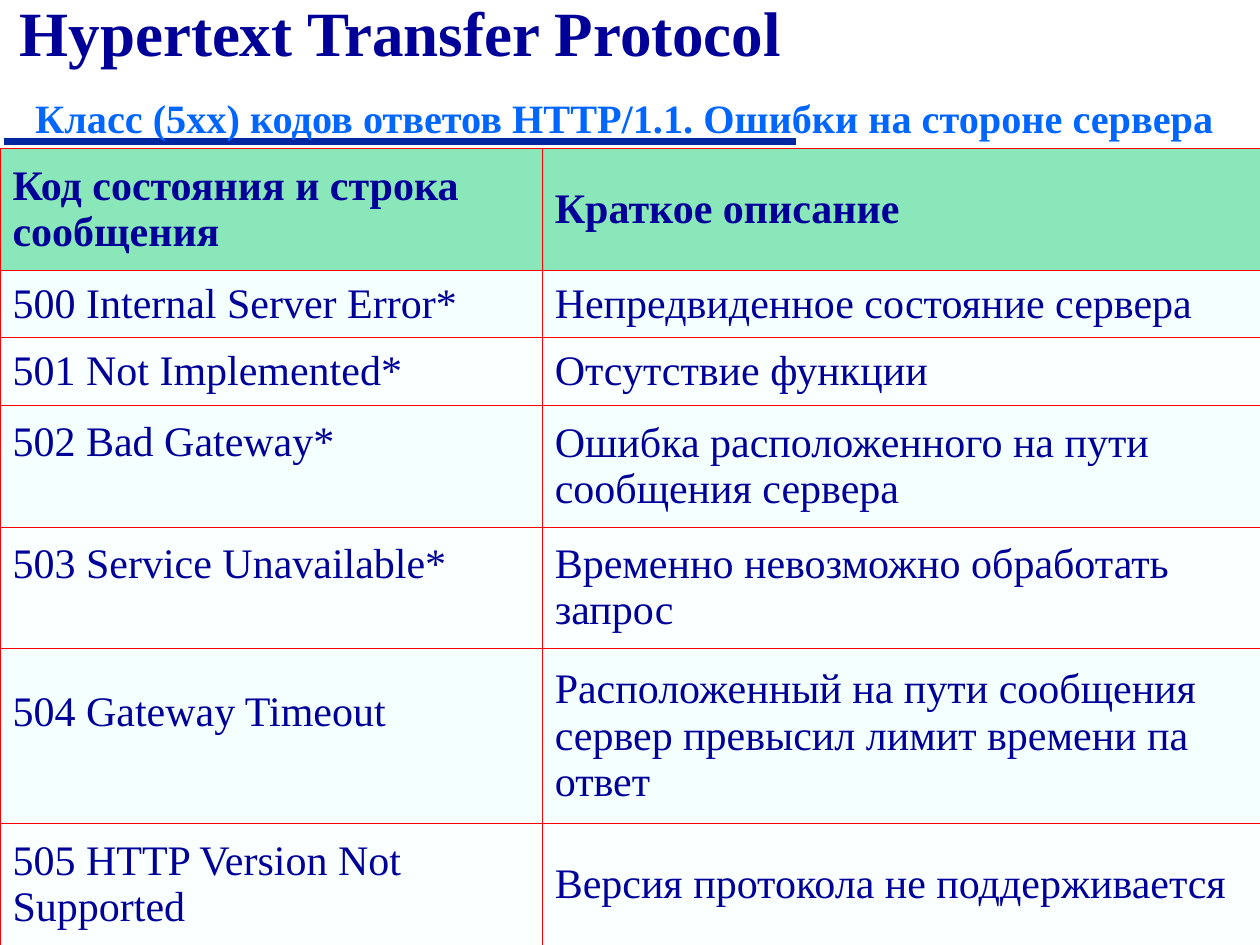
"""Build the slide on HTTP/1.1 server error codes."""
from lxml.etree import SubElement
from pptx import Presentation
from pptx.dml.color import RGBColor
from pptx.enum.shapes import MSO_CONNECTOR as Connector
from pptx.enum.text import MSO_ANCHOR as Anchor
from pptx.oxml.ns import qn
from pptx.util import Cm, Pt

FONT = "Times New Roman"
NAVY = RGBColor(0x00, 0x00, 0x99)
AZURE = RGBColor(0x00, 0x66, 0xFF)
RULE_BLUE = RGBColor(0x00, 0x27, 0x9F)
MINT = RGBColor(0x8A, 0xE7, 0xB9)
BANDS = RGBColor(0xFA, 0xFF, 0xFF), RGBColor(0xF4, 0xFF, 0xFF)
BORDER_RED = RGBColor(0xFF, 0x00, 0x00)

TITLE = "Hypertext Transfer Protocol"
SUBTITLE = "Класс (5xx) кодов ответов HTTP/1.1. Ошибки на стороне сервера"
CODES = [
    (["Код состояния и строка сообщения"], ["Краткое описание"]),
    (["500 Internal Server Error*"], ["Непредвиденное состояние сервера"]),
    (["501 Not Implemented*"], ["Отсутствие функции"]),
    (["502 Bad Gateway*"],
     ["Ошибка расположенного на пути", "сообщения сервера"]),
    (["503 Service Unavailable*"], ["Временно невозможно обработать запрос"]),
    (["504 Gateway Timeout"],
     ["Расположенный на пути сообщения",
      "сервер превысил лимит времени па ответ"]),
    (["505 HTTP Version Not Supported"],
     ["Версия протокола не поддерживается"]),
]
RAISED_ROWS = 3, 4, 5
ROW_HEIGHTS = 2.46, 1.35, 1.37, 2.45, 2.45, 3.53, 2.45
COLUMN_WIDTHS = 10.93, 14.47
TABLE_TOP = 2.99
LINE_HEIGHT = 0.94


def add_run(paragraph, text, size, color, bold):
    run = paragraph.add_run()
    run.text = text
    run.font.name = FONT
    run.font.size = Pt(size)
    run.font.bold = bold
    run.font.color.rgb = color


def add_borders(cell):
    properties = cell._tc.get_or_add_tcPr()
    for position, side in enumerate(("lnL", "lnR", "lnT", "lnB")):
        border = SubElement(properties, qn(f"a:{side}"), w=str(Pt(0.23)))
        fill = SubElement(border, qn("a:solidFill"))
        SubElement(fill, qn("a:srgbClr"), val=str(BORDER_RED))
        properties.insert(position, border)


def add_rule(slide):
    rule = slide.shapes.add_connector(
        Connector.STRAIGHT, Cm(0.08), Cm(2.86), Cm(16.05), Cm(2.86))
    rule.line.color.rgb = RULE_BLUE
    rule.line.width = Pt(4)
    SubElement(rule._element.spPr, qn("a:effectLst"))


def add_heading(slide):
    heading = slide.shapes.add_textbox(
        Cm(0.15), Cm(0), Cm(25.25), Cm(3.05)).text_frame
    heading.word_wrap = True
    heading.vertical_anchor = Anchor.TOP
    heading.margin_top = heading.margin_bottom = 0
    title = heading.paragraphs[0]
    title.line_spacing = 0.93
    add_run(title, TITLE, 36, NAVY, True)
    subtitle = heading.add_paragraph()
    subtitle.space_before = Pt(13)
    subtitle._p.get_or_add_pPr().set("marL", str(Cm(0.31)))
    add_run(subtitle, SUBTITLE, 23, AZURE, True)


def add_codes(slide):
    codes = slide.shapes.add_table(
        len(CODES), len(COLUMN_WIDTHS), Cm(0), Cm(TABLE_TOP),
        Cm(sum(COLUMN_WIDTHS)), Cm(sum(ROW_HEIGHTS))).table
    for column, width in zip(codes.columns, COLUMN_WIDTHS):
        column.width = Cm(width)
    for row, height in zip(codes.rows, ROW_HEIGHTS):
        row.height = Cm(height)
    for r, entry in enumerate(CODES):
        for c, lines in enumerate(entry):
            cell = codes.cell(r, c)
            cell.vertical_anchor = Anchor.MIDDLE
            cell.fill.solid()
            cell.fill.fore_color.rgb = BANDS[r % 2] if r else MINT
            if c == 0 and r in RAISED_ROWS:
                cell.margin_bottom = Cm(0.13 + LINE_HEIGHT)
            add_borders(cell)
            frame = cell.text_frame
            for i, line in enumerate(lines):
                paragraph = frame.add_paragraph() if i else frame.paragraphs[0]
                add_run(paragraph, line, 24, NAVY, r == 0)


def main():
    deck = Presentation()
    deck.slide_width, deck.slide_height = Cm(25.4), Cm(19.05)
    slide = deck.slides.add_slide(deck.slide_layouts[6])
    add_rule(slide)
    add_heading(slide)
    add_codes(slide)
    deck.save("out.pptx")


if __name__ == "__main__":
    main()
